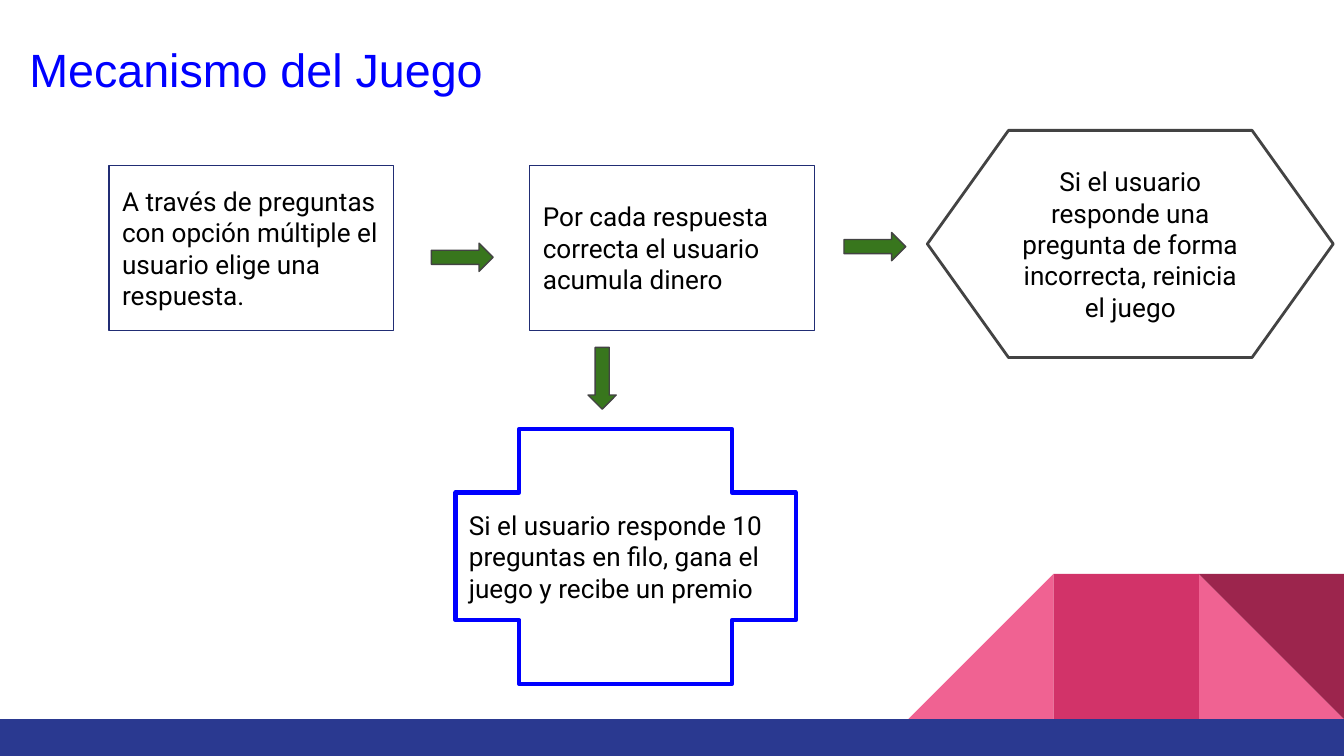
from dataclasses import dataclass

from pptx import Presentation
from pptx.dml.color import RGBColor as Rgb
from pptx.enum.shapes import MSO_SHAPE as Kind
from pptx.enum.text import MSO_ANCHOR as Anchor, PP_ALIGN as Align
from pptx.util import Inches, Pt

CELL = 0.1  # inches per grid column and row
COLS, ROWS = 100, 56.25


@dataclass(frozen=True)
class Theme:
    blue: str = "0000FF"
    navy: str = "212D74"
    band: str = "2A3990"
    pink: str = "F06292"
    rose: str = "D23369"
    wine: str = "9C254D"
    green: str = "38761D"
    gray: str = "434343"
    white: str = "FFFFFF"
    black: str = "000000"
    head: str = "Arial"
    body: str = "Roboto"
    big: int = 25
    mid: int = 14


def grid(*cells):
    return [Inches(n * CELL) for n in cells]


def write(shape, text, font, size, color, align=Align.LEFT,
          anchor=Anchor.MIDDLE, space=None, after=None):
    frame = shape.text_frame
    frame.word_wrap = True
    frame.vertical_anchor = anchor
    frame.margin_left = frame.margin_right = Inches(0.1)
    frame.margin_top = frame.margin_bottom = Inches(0.1)
    para = frame.paragraphs[0]
    para.alignment = align
    para.line_spacing = space
    para.space_after = after
    run = para.add_run()
    run.text = text
    run.font.name = font
    run.font.size = Pt(size)
    run.font.color.rgb = Rgb.from_string(color)


class Board:
    def __init__(self, slide, theme):
        self.slide = slide
        self.theme = theme

    def form(self, kind, cells, fill, line=None, width=0.75, turn=0):
        shape = self.slide.shapes.add_shape(kind, *grid(*cells))
        shape.shadow.inherit = False
        shape.fill.solid()
        shape.fill.fore_color.rgb = Rgb.from_string(fill)
        if line:
            shape.line.color.rgb = Rgb.from_string(line)
            shape.line.width = Pt(width)
        else:
            shape.line.fill.background()
        shape.rotation = turn
        return shape

    def title(self, text, cells):
        look = self.theme
        box = self.slide.shapes.add_textbox(*grid(*cells))
        write(box, text, look.head, look.big, look.blue,
              anchor=Anchor.TOP, space=1.15, after=Pt(12))

    def step(self, kind, cells, text, line, width=0.75, align=Align.LEFT):
        look = self.theme
        shape = self.form(kind, cells, look.white, line, width)
        write(shape, text, look.body, look.mid, look.black, align=align)

    def arrow(self, left, top, turn=0):
        look = self.theme
        self.form(Kind.RIGHT_ARROW, (left, top, 4.6, 2.1),
                  look.green, look.gray, turn=turn)

    def decor(self):
        """Draw the bottom band and the folded squares in the right corner."""
        look = self.theme
        side, band = 10.8, 2.75
        top = ROWS - band - side
        last, mid, first = [(COLS - n * side, top, side, side)
                            for n in (1, 2, 3)]
        self.form(Kind.RIGHT_TRIANGLE, last, look.pink)
        slope = self.form(Kind.RIGHT_TRIANGLE, first, look.pink)
        slope._element.spPr.xfrm.set("flipH", "1")
        self.form(Kind.RECTANGLE, mid, look.rose)
        self.form(Kind.RIGHT_TRIANGLE, last, look.wine, turn=180)
        self.form(Kind.RECTANGLE, (0, ROWS - band, COLS, band), look.band)


def main():
    deck = Presentation()
    deck.slide_width, deck.slide_height = grid(COLS, ROWS)
    look = Theme()
    board = Board(deck.slides.add_slide(deck.slide_layouts[6]), look)

    board.decor()
    board.title("Mecanismo del Juego", (1.2, 1.4, 93.2, 7.5))

    steps = ("A través de preguntas con opción múltiple el usuario elige "
             "una respuesta.",
             "Por cada respuesta correcta el usuario acumula dinero")
    for i, text in enumerate(steps):
        board.step(Kind.FLOWCHART_PROCESS, (8.1 + i * 31.3, 12.3, 21.2, 12.3),
                   text, look.navy)
    board.step(Kind.FLOWCHART_PREPARATION, (69, 9.7, 30.2, 16.9),
               "Si el usuario responde una pregunta de forma incorrecta, "
               "reinicia el juego", look.gray, 1.5, Align.CENTER)
    board.step(Kind.CROSS, (33.9, 31.9, 25.3, 19),
               "Si el usuario responde 10 preguntas en filo, gana el juego "
               "y recibe un premio", look.blue, 2.25)

    for spot in ((32.1, 18.1), (62.8, 17.3), (42.5, 27.1, 90)):
        board.arrow(*spot)

    deck.save("out.pptx")


if __name__ == "__main__":
    main()
